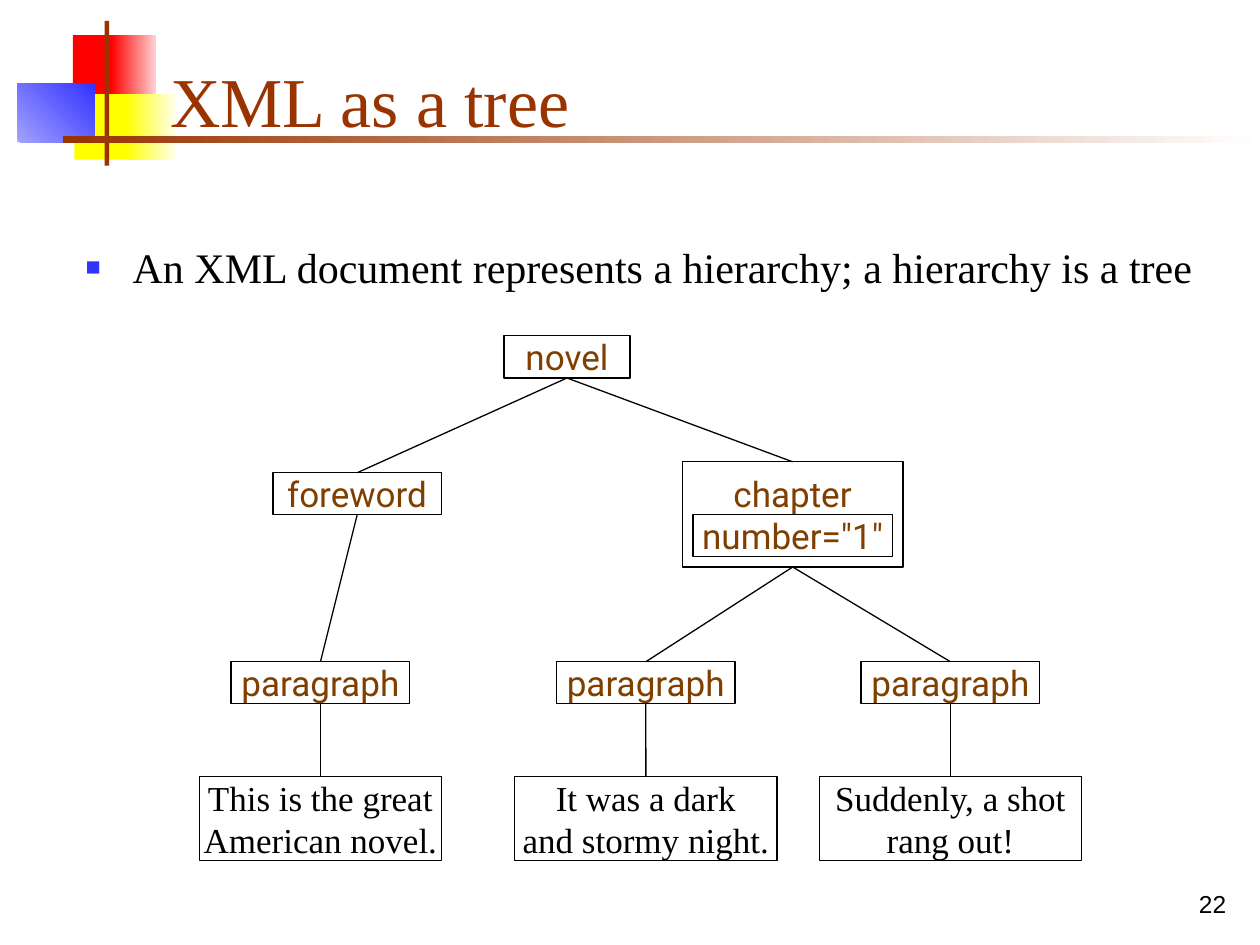
"""Build the "XML as a tree" slide with python-pptx."""
import lxml.etree
import pptx
import pptx.dml.color
import pptx.enum.shapes
import pptx.enum.text
import pptx.oxml.ns
import pptx.util
from dataclasses import dataclass

Cm, Pt, qn = pptx.util.Cm, pptx.util.Pt, pptx.oxml.ns.qn
RGB = pptx.dml.color.RGBColor.from_string
SHAPE = pptx.enum.shapes.MSO_SHAPE
ALIGN, ANCHOR = pptx.enum.text.PP_ALIGN, pptx.enum.text.MSO_ANCHOR


@dataclass(frozen=True)
class Theme:
    serif: str = "Times New Roman"
    label: str = "Roboto"
    sans: str = "Arial"
    title_pt: int = 40
    body_pt: int = 24
    node_pt: int = 20
    number_pt: int = 14
    line_pt: float = 0.75
    black: str = "000000"
    white: str = "FFFFFF"
    rust: str = "993300"
    brown: str = "7F3F00"
    red: str = "FF0000"
    pink: str = "FFD1D1"
    yellow: str = "FFFF00"
    cream: str = "FFFFF0"
    blue: str = "3333FF"
    pale_blue: str = "A2A2FF"


T = Theme()


def write(shape, text, font, size, color, align, anchor, wrap=True):
    tf = shape.text_frame
    tf.text = text
    tf.word_wrap = wrap
    tf.auto_size = pptx.enum.text.MSO_AUTO_SIZE.NONE
    tf.vertical_anchor = anchor
    p = tf.paragraphs[0]
    p.alignment = align
    p.space_before = Pt(0)
    for r in p.runs:
        r.font.name, r.font.size = font, Pt(size)
        r.font.color.rgb = RGB(color)
    return p


def add_box(s, kind, left, top, width, height):
    sp = s.shapes.add_shape(kind, Cm(left), Cm(top), Cm(width), Cm(height))
    sp.shadow.inherit = False
    return sp


prs = pptx.Presentation()
prs.slide_width, prs.slide_height = Cm(25.4), Cm(19.05)
s = prs.slides.add_slide(prs.slide_layouts[1])

decorations = [
    (1.47, 0.71, 0.9, 1.32, [T.red], 0),
    (2.24, 0.71, 0.9, 1.32, [T.red, T.pink], 0),
    (1.5, 1.9, 1.17, 1.32, [T.yellow], 0),
    (2.54, 1.9, 1.02, 1.32, [T.yellow, T.cream], 0),
    (0.35, 1.69, 1.56, 1.18, [T.pale_blue, T.blue], 45),
    (2.11, 0.42, 0.09, 2.92, [T.rust], 0),
    (1.27, 2.74, 24.13, 0.14, [T.rust, T.white], 0),
]
for left, top, width, height, colors, angle in decorations:
    sp = add_box(s, SHAPE.RECTANGLE, left, top, width, height)
    sp.line.fill.background()
    if len(colors) == 1:
        sp.fill.solid()
        sp.fill.fore_color.rgb = RGB(colors[0])
    else:
        sp.fill.gradient()
        sp.fill.gradient_angle = angle
        for stop, color, position in zip(sp.fill.gradient_stops, colors, (0, 1)):
            stop.color.rgb = RGB(color)
            stop.position = position

title, body = s.shapes.title, s.placeholders[1]
for sp, left, top, width, height in [
    (title, 3.18, 0.64, 21.64, 2.34),
    (body, 1.47, 4.75, 23.06, 1.4),
]:
    sp.left, sp.top, sp.width, sp.height = Cm(left), Cm(top), Cm(width), Cm(height)
    sp.element.getparent().append(sp.element)

write(title, "XML as a tree", T.serif, T.title_pt, T.rust, ALIGN.LEFT, ANCHOR.BOTTOM)
p = write(body, "An XML document represents a hierarchy; a hierarchy is a tree",
          T.serif, T.body_pt, T.black, ALIGN.LEFT, ANCHOR.TOP)
pPr = p._p.get_or_add_pPr()
pPr.set("marL", str(Cm(0.95)))
pPr.set("indent", str(-Cm(0.95)))
bullet_color = lxml.etree.SubElement(pPr, qn("a:buClr"))
lxml.etree.SubElement(bullet_color, qn("a:srgbClr"), val=T.blue)
lxml.etree.SubElement(pPr, qn("a:buSzPct"), val="60000")
lxml.etree.SubElement(pPr, qn("a:buFont"), typeface=T.sans)
lxml.etree.SubElement(pPr, qn("a:buChar"), char="■")

number = s.shapes.add_textbox(Cm(19.69), Cm(17.36), Cm(5.28), Cm(1.27))
write(number, "22", T.sans, T.number_pt, T.black, ALIGN.RIGHT, ANCHOR.BOTTOM)

tag, content = (T.label, T.brown), (T.serif, T.black)
nodes = [
    ("novel", "novel", tag, 11.43, 6.77, 2.54, 0.85),
    ("foreword", "foreword", tag, 7.2, 9.53, 3.39, 0.85),
    ("chapter", 'chapter\vnumber="1"', tag, 15.98, 9.31, 4.45, 2.12),
    ("attribute", "", tag, 15.98, 10.37, 4.02, 0.85),
]
edges = [("novel", "foreword"), ("novel", "chapter")]
for i, (parent, center, text, width) in enumerate([
    ("foreword", 6.46, "This is the great\vAmerican novel.", 4.87),
    ("chapter", 13.02, "It was a dark\vand stormy night.", 5.29),
    ("chapter", 19.16, "Suddenly, a shot\vrang out!", 5.29),
]):
    nodes += [
        (f"paragraph{i}", "paragraph", tag, center, 13.34, 3.6, 0.85),
        (f"text{i}", text, content, center, 15.66, width, 1.69),
    ]
    edges += [(parent, f"paragraph{i}"), (f"paragraph{i}", f"text{i}")]

boxes = {}
for name, text, (font, color), center, top, width, height in nodes:
    kind = SHAPE.FLOWCHART_PROCESS if name == "novel" else SHAPE.RECTANGLE
    sp = add_box(s, kind, center - width / 2, top, width, height)
    sp.fill.background()
    sp.line.color.rgb = RGB(T.black)
    sp.line.width = Pt(T.line_pt)
    if text:
        write(sp, text, font, T.node_pt, color, ALIGN.CENTER, ANCHOR.MIDDLE, wrap=False)
    boxes[name] = sp

for parent, child in edges:
    c = s.shapes.add_connector(pptx.enum.shapes.MSO_CONNECTOR.STRAIGHT, 0, 0, 0, 0)
    c.begin_connect(boxes[parent], 2)
    c.end_connect(boxes[child], 0)
    c.line.color.rgb = RGB(T.black)
    c.line.width = Pt(T.line_pt)
    lxml.etree.SubElement(c.element.spPr, qn("a:effectLst"))

prs.save("out.pptx")
